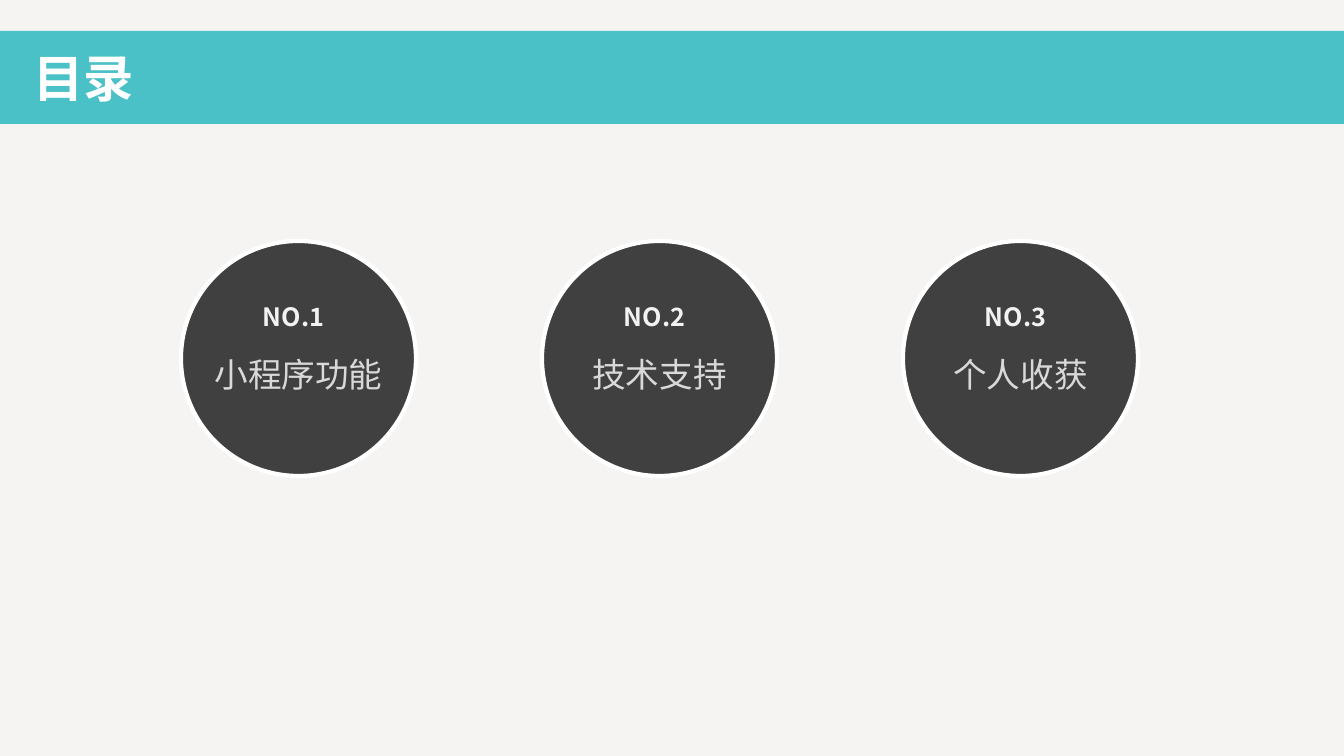
from lxml.etree import SubElement
from pptx import Presentation
from pptx.dml.color import RGBColor
from pptx.enum.shapes import MSO_SHAPE
from pptx.enum.text import MSO_ANCHOR, MSO_AUTO_SIZE, PP_ALIGN
from pptx.oxml.ns import qn
from pptx.util import Pt

PX = 914400 / 100.8
BOLD_FONT = "Noto Sans CJK SC"
CAPTION_FONT = "Noto Sans CJK JP"
TOPICS = ["小程序功能", "技术支持", "个人收获"]
FIRST_LEFT, TOP, STEP, DIAMETER = 181, 241, 361, 235


def px(*lengths):
    return [round(n * PX) for n in lengths]


def color(hex_code):
    return RGBColor.from_string(hex_code)


def fill(s, hex_code):
    s.fill.solid()
    s.fill.fore_color.rgb = color(hex_code)


def add_run(p, text, size, font, hex_code, bold=False):
    r = p.add_run()
    r.text = text
    r.font.size = Pt(size)
    r.font.bold = bold
    r.font.color.rgb = color(hex_code)
    r.font.name = font
    # East Asian typeface for the Chinese characters
    SubElement(r._r.get_or_add_rPr(), qn("a:ea"), typeface=font)


def add_label(shapes, box, text, size, font, hex_code, bold=False, align=PP_ALIGN.LEFT):
    tf = shapes.add_textbox(*px(*box)).text_frame
    tf.word_wrap = True
    tf.auto_size = MSO_AUTO_SIZE.SHAPE_TO_FIT_TEXT
    p = tf.paragraphs[0]
    p.alignment = align
    add_run(p, text, size, font, hex_code, bold)


def add_title_band(slide, text):
    s = slide.shapes.title
    s.left, s.top, s.width, s.height = px(0, 31, 1344, 93)
    fill(s, "4AC1C7")
    tf = s.text_frame
    tf.auto_size = MSO_AUTO_SIZE.NONE
    tf.vertical_anchor = MSO_ANCHOR.MIDDLE
    tf.margin_left = px(33)[0]
    p = tf.paragraphs[0]
    p.alignment = PP_ALIGN.LEFT
    add_run(p, text, 36, BOLD_FONT, "FFFFFF", bold=True)


def add_topic(slide, number, caption):
    left = FIRST_LEFT + (number - 1) * STEP
    shapes = slide.shapes.add_group_shape().shapes
    s = shapes.add_shape(MSO_SHAPE.OVAL, *px(left, TOP, DIAMETER, DIAMETER))
    s.shadow.inherit = False
    fill(s, "404040")
    s.line.color.rgb = color("FFFFFF")
    s.line.width = Pt(3)
    add_label(shapes, (left + 72, TOP + 55, 93, 40), f"NO.{number}",
              18, BOLD_FONT, "F2F2F2", bold=True)
    add_label(shapes, (left + 22, TOP + 108, 191, 50), caption,
              24, CAPTION_FONT, "D9D9D9", align=PP_ALIGN.CENTER)


def main():
    prs = Presentation()
    prs.slide_width, prs.slide_height = px(1344, 756)
    slide = prs.slides.add_slide(prs.slide_layouts[5])
    fill(slide.background, "F5F4F2")

    # Heading across the full width
    add_title_band(slide, "目录")

    # Row of numbered circles
    for number, caption in enumerate(TOPICS, 1):
        add_topic(slide, number, caption)

    prs.save("out.pptx")


if __name__ == "__main__":
    main()
